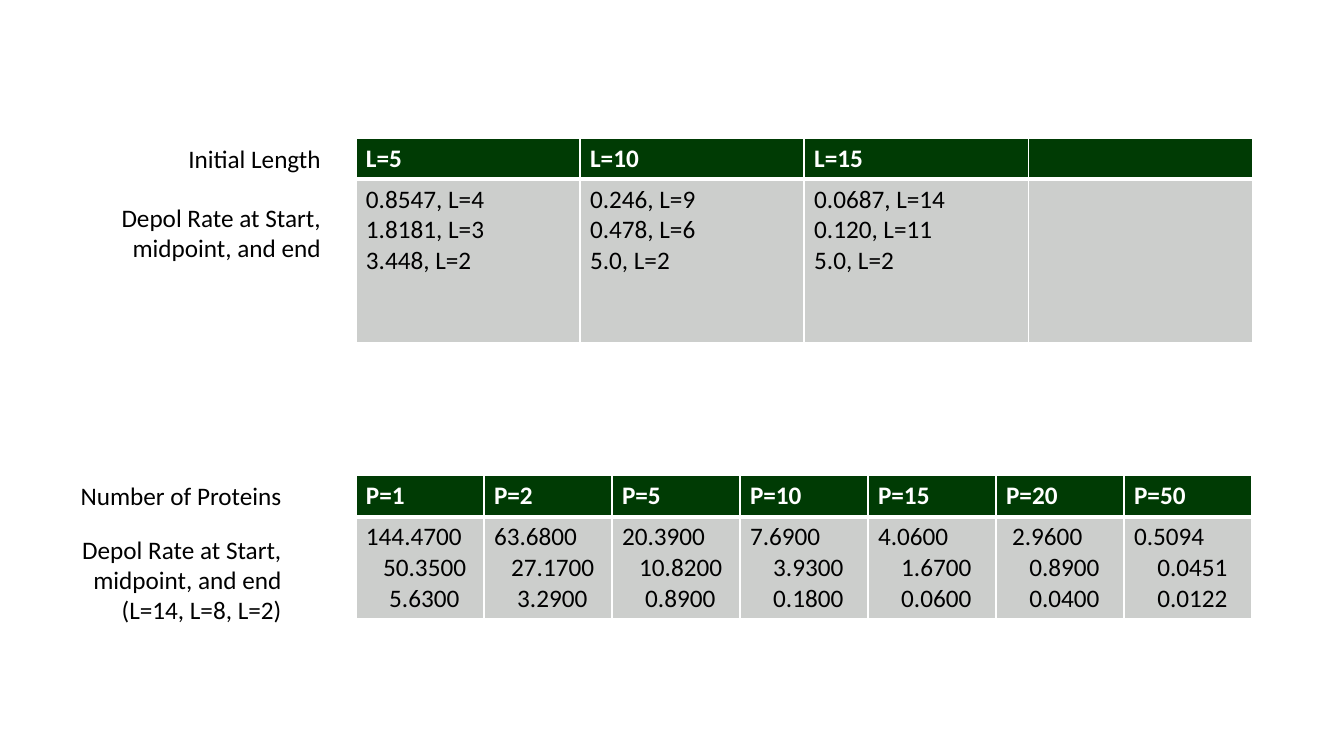
from pptx import Presentation
from pptx.dml.color import RGBColor
from pptx.enum.text import MSO_AUTO_SIZE, PP_ALIGN
from pptx.oxml.ns import qn
from pptx.util import Inches, Pt
from lxml.etree import SubElement

COLORS = {"head": "003B04", "body": "CCCECC", "white": "FFFFFF", "black": "000000"}
LEFT, WIDE, HEAD = 3.53, 8.89, 0.4  # shared table column and header row
TOP, LOW = 1.37, 4.72  # tops of the two tables


def style(para, color, bold=False):
    for run in para.runs:
        font = run.font
        font.name, font.size, font.bold = "Calibri", Pt(18), bold
        font.color.rgb = RGBColor.from_string(COLORS[color])


def border(cell, side, width):
    line = SubElement(cell._tc.get_or_add_tcPr(), qn("a:" + side), w=str(Pt(width)))
    fill = SubElement(line, qn("a:solidFill"))
    SubElement(fill, qn("a:srgbClr"), val=COLORS["white"])


prs = Presentation()
prs.slide_width, prs.slide_height = Inches(13.33), Inches(7.5)
slide = prs.slides.add_slide(prs.slide_layouts[6])

# Table data: top, body row height, then header and values of each column
tables = [
    (LOW, 1.0, [
        ("P=1", ["144.4700", "50.3500", "5.6300"]),
        ("P=2", ["63.6800", "27.1700", "3.2900"]),
        ("P=5", ["20.3900", "10.8200", "0.8900"]),
        ("P=10", ["7.6900", "3.9300", "0.1800"]),
        ("P=15", ["4.0600", "1.6700", "0.0600"]),
        ("P=20", ["2.9600", "0.8900", "0.0400"]),
        ("P=50", ["0.5094", "0.0451", "0.0122"]),
    ]),
    (TOP, 1.62, [
        ("L=5", ["0.8547, L=4", "1.8181, L=3", "3.448, L=2"]),
        ("L=10", ["0.246, L=9", "0.478, L=6", "5.0, L=2"]),
        ("L=15", ["0.0687, L=14", "0.120, L=11", "5.0, L=2"]),
        ("", []),
    ]),
]

for top, tall, cols in tables:
    frame = slide.shapes.add_table(2, len(cols), Inches(LEFT), Inches(top),
                                   Inches(WIDE), Inches(HEAD + tall))
    table = frame.table
    table.rows[0].height, table.rows[1].height = Inches(HEAD), Inches(tall)
    for col, (head, rates) in enumerate(cols):
        table.columns[col].width = Inches(WIDE / len(cols))
        for row, text in enumerate([head, "\n".join(rates)]):
            cell = table.cell(row, col)
            cell.text_frame.text = text
            # A thick rule parts the header from the body
            for side, width in (("lnL", 1), ("lnR", 1),
                                ("lnT", 3 if row else 1), ("lnB", 1 if row else 3)):
                border(cell, side, width)
            cell.fill.solid()
            cell.fill.fore_color.rgb = RGBColor.from_string(COLORS["body" if row else "head"])
            for num, para in enumerate(cell.text_frame.paragraphs):
                style(para, "black" if row else "white", bold=not row)
                # Protein rates step in after the first line
                if row and top == LOW:
                    step = 0.17 if len(para.text) > 6 else 0.23
                    first = 0.06 if head == "P=20" else 0
                    para._p.get_or_add_pPr().set("marL", str(Inches(step if num else first)))

# Row labels, set flush right beside the tables
labels = [
    ("Depol Rate at Start, midpoint, and end", 0.78, 1.96, 2.5, 0.71),
    ("Initial Length", 1.63, TOP, 1.65, HEAD),
    ("Number of Proteins", 0.39, LOW, 2.5, HEAD),
    ("Depol Rate at Start, midpoint, and end (L=14, L=8, L=2)", 0.39, 5.25, 2.5, 1.01),
]
for text, *place in labels:
    frame = slide.shapes.add_textbox(*map(Inches, place)).text_frame
    frame.word_wrap = True
    frame.auto_size = MSO_AUTO_SIZE.SHAPE_TO_FIT_TEXT
    frame.text = text
    para = frame.paragraphs[0]
    para.alignment = PP_ALIGN.RIGHT
    style(para, "black")

prs.save("out.pptx")
